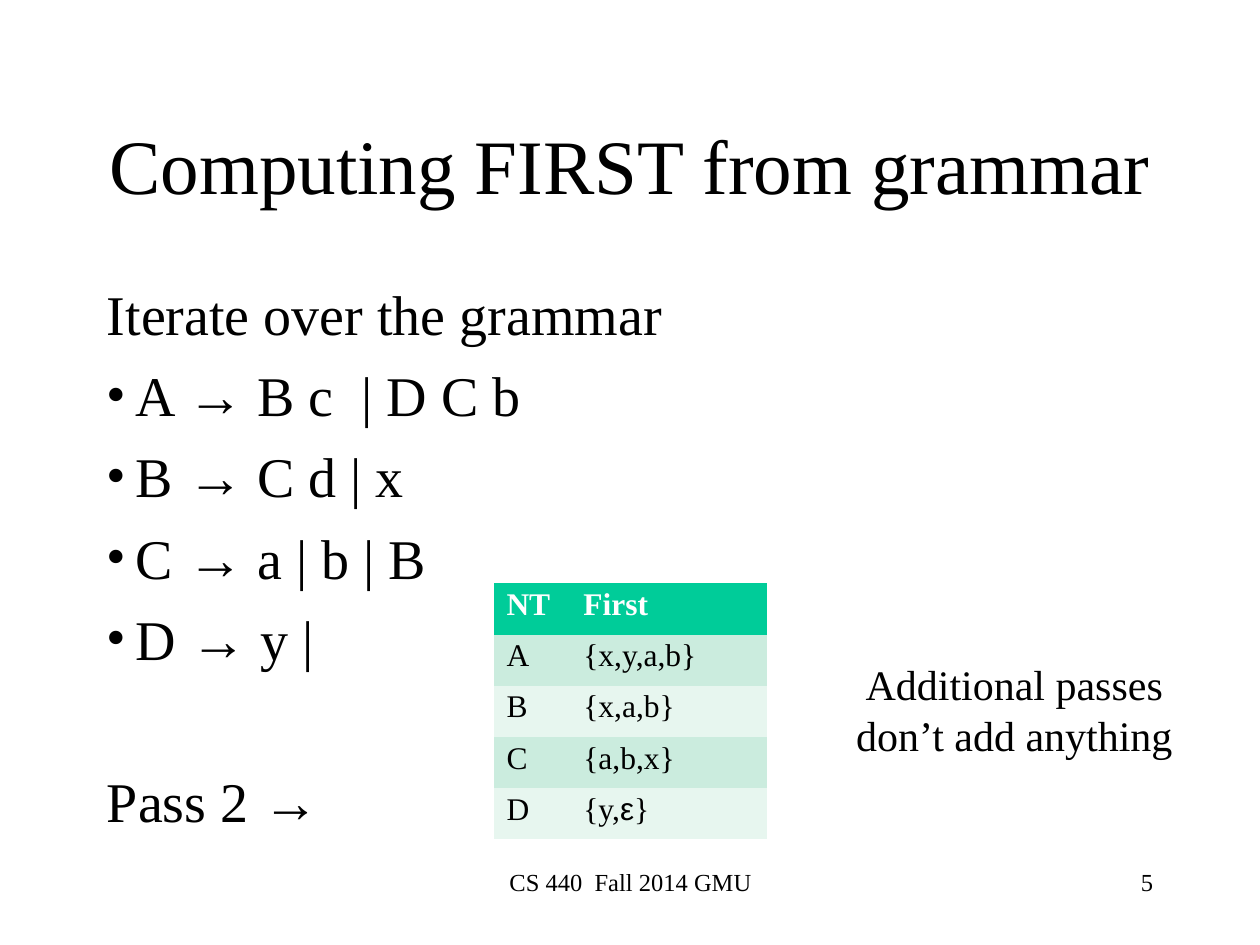
from lxml.etree import SubElement
from pptx import Presentation
from pptx.dml.color import RGBColor
from pptx.enum.text import MSO_ANCHOR, MSO_AUTO_SIZE, PP_ALIGN
from pptx.oxml.ns import qn
from pptx.util import Inches, Pt

SYMBOLS = "→ε"
PLAIN_TABLE_STYLE = "{2D5ABB26-0587-4C30-8999-92F81FD0307C}"


def color(hex_text):
    return RGBColor.from_string(hex_text)


def split_symbols(text):
    pieces = []
    for letter in text:
        symbol = letter in SYMBOLS
        if pieces and pieces[-1][1] == symbol:
            pieces[-1][0] += letter
        else:
            pieces.append([letter, symbol])
    return pieces


class SlideBuilder:
    font = "Times New Roman"
    symbol_font = "Arial"
    ink = "000000"
    header_ink = "FFFFFF"
    header_fill = "00CC99"
    band_fills = ("CBECDE", "E7F6EF")

    def __init__(self, deck):
        self.slide = deck.slides.add_slide(deck.slide_layouts[5])

    def add_spans(self, para, text, size, ink=None, bold=False):
        para.line_spacing = Pt(size * 1.2)
        for piece, symbol in split_symbols(text):
            span = para.add_run()
            span.text = piece
            span.font.name = self.symbol_font if symbol else self.font
            span.font.size = Pt(size)
            span.font.bold = bold
            span.font.color.rgb = color(ink or self.ink)

    def bullet(self, para, indent):
        properties = para._p.get_or_add_pPr()
        properties.set("marL", str(Inches(indent)))
        properties.set("indent", str(-Inches(indent)))
        SubElement(properties, qn("a:buFont"), typeface=self.font)
        SubElement(properties, qn("a:buChar"), char="•")

    def title(self, text, left, top, width, height):
        box = self.slide.shapes.title
        box.left, box.top = Inches(left), Inches(top)
        box.width, box.height = Inches(width), Inches(height)
        frame = box.text_frame
        frame.auto_size = MSO_AUTO_SIZE.NONE
        frame.vertical_anchor = MSO_ANCHOR.MIDDLE
        frame.paragraphs[0].alignment = PP_ALIGN.CENTER
        self.add_spans(frame.paragraphs[0], text, 44)

    def text(self, lines, left, top, width, height, size, align=PP_ALIGN.LEFT, wrap=True):
        box = self.slide.shapes.add_textbox(
            Inches(left), Inches(top), Inches(width), Inches(height))
        frame = box.text_frame
        frame.word_wrap = wrap
        for index, line in enumerate(lines):
            para = frame.add_paragraph() if index else frame.paragraphs[0]
            para.alignment = align
            self.add_spans(para, line, size)
        return frame.paragraphs

    def table(self, rows, left, top, widths, height):
        frame = self.slide.shapes.add_table(
            len(rows), len(widths), Inches(left), Inches(top),
            Inches(sum(widths)), Inches(height))
        table = frame.table
        table._tbl.tblPr.find(qn("a:tableStyleId")).text = PLAIN_TABLE_STYLE
        table.horz_banding = False
        for column, width in zip(table.columns, widths):
            column.width = Inches(width)
        for row_index, row in enumerate(rows):
            header = row_index == 0
            fill = self.header_fill if header else self.band_fills[(row_index - 1) % 2]
            for column_index, text in enumerate(row):
                cell = table.cell(row_index, column_index)
                cell.fill.solid()
                cell.fill.fore_color.rgb = color(fill)
                para = cell.text_frame.paragraphs[0]
                self.add_spans(para, text, 18, self.header_ink if header else self.ink, header)
                para.line_spacing = 0.93


def main():
    deck = Presentation()
    deck.slide_width, deck.slide_height = Inches(10), Inches(7.5)
    page = SlideBuilder(deck)

    page.title("Computing FIRST from grammar", 0.75, 0.67, 8.5, 1.25)

    rules = ["A → B c  | D C b", "B → C d | x", "C → a | b | B", "D → y |"]
    paras = page.text(["Iterate over the grammar", *rules, "Pass 2 →"],
                      0.75, 2.17, 5.25, 4.5, 32)
    for para in paras:
        para.space_before = Pt(8)
    for para in paras[1:-1]:
        page.bullet(para, 0.23)
    paras[-1].space_before = Pt(54.4)

    page.text(["CS 440  Fall 2014 GMU"], 3.42, 6.83, 3.17, 0.5, 14, PP_ALIGN.CENTER)
    page.text(["5"], 7.17, 6.83, 2.08, 0.5, 14, PP_ALIGN.RIGHT)

    first_sets = [("NT", "First"), ("A", "{x,y,a,b}"), ("B", "{x,a,b}"),
                  ("C", "{a,b,x}"), ("D", "{y,ε}")]
    page.table(first_sets, 3.92, 4.63, (0.61, 1.56), 2.03)

    page.text(["Additional passes", "don’t add anything"],
              6.69, 5.18, 2.72, 0.9, 24, PP_ALIGN.CENTER, wrap=False)

    deck.save("out.pptx")


if __name__ == "__main__":
    main()
